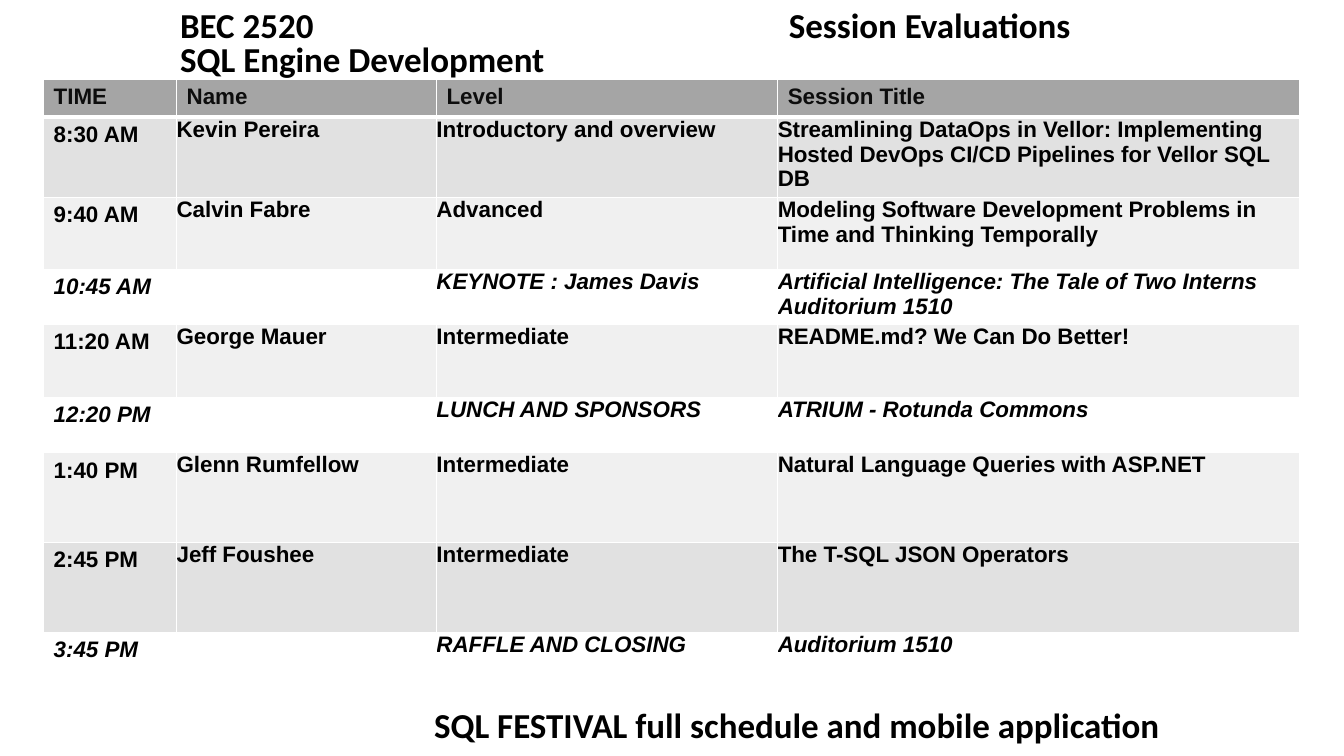
from dataclasses import dataclass
from typing import NamedTuple

from lxml.etree import SubElement
from pptx import Presentation
from pptx.dml.color import RGBColor as Rgb
from pptx.oxml.ns import qn
from pptx.util import Cm, Pt


@dataclass(frozen=True)
class Theme:
    heading_font: str = "Calibri"
    table_font: str = "Arial"
    heading_size: float = 25
    table_size: float = 16
    black: str = "000000"
    header_text: str = "0D0D0D"
    header: str = "A5A5A5"
    dark: str = "E1E1E1"
    light: str = "F0F0F0"
    white: str = "FFFFFF"
    rule: float = 1
    header_rule: float = 3


class Box(NamedTuple):
    """Left, top, width and height in centimetres."""
    left: float
    top: float
    width: float
    height: float


THEME = Theme()
BLANK_LAYOUT = 6

COLUMN_WIDTHS = [3.35, 6.55, 8.6, 13.15]
HEADER = ["TIME", "Name", "Level", "Session Title"]
HEADER_HEIGHT = 0.94

# Row height, fill, cell texts; sessions without a speaker are set in italics
SESSIONS = [
    (1.93, THEME.dark, ["8:30 AM", "Kevin Pereira", "Introductory and overview",
                        "Streamlining DataOps in Vellor: Implementing Hosted DevOps "
                        "CI/CD Pipelines for Vellor SQL DB"]),
    (1.8, THEME.light, ["9:40 AM", "Calvin Fabre", "Advanced",
                        "Modeling Software Development Problems in Time and "
                        "Thinking Temporally"]),
    (1.4, THEME.white, ["10:45 AM", "", "KEYNOTE : James Davis",
                        "Artificial Intelligence: The Tale of Two Interns\n"
                        "Auditorium 1510"]),
    (1.83, THEME.light, ["11:20 AM", "George Mauer", "Intermediate",
                         "README.md? We Can Do Better!"]),
    (1.4, THEME.white, ["12:20 PM", "", "LUNCH AND SPONSORS",
                        "ATRIUM - Rotunda Commons"]),
    (2.26, THEME.light, ["1:40 PM", "Glenn Rumfellow", "Intermediate",
                         "Natural Language Queries with ASP.NET"]),
    (2.26, THEME.dark, ["2:45 PM", "Jeff Foushee", "Intermediate",
                        "The T-SQL JSON Operators"]),
    (1.19, THEME.white, ["3:45 PM", "", "RAFFLE AND CLOSING", "Auditorium 1510"]),
]


def set_font(para, name, size, color, italic=False):
    font = para.font
    font.name, font.size = name, Pt(size)
    font.bold, font.italic = True, italic
    font.color.rgb = Rgb.from_string(color)


def add_heading(page, box, text, line_spacing=1.0):
    frame = page.shapes.add_textbox(*map(Cm, box)).text_frame
    frame.word_wrap = True
    para = frame.paragraphs[0]
    para.text = text
    para.line_spacing = line_spacing
    set_font(para, THEME.heading_font, THEME.heading_size, THEME.black)


def set_borders(cell, bottom):
    """Draw the four cell borders, ahead of the fill in the cell's XML."""
    props = cell._tc.get_or_add_tcPr()
    for side in ("lnL", "lnR", "lnT", "lnB"):
        weight = bottom if side == "lnB" else THEME.rule
        line = SubElement(props, qn(f"a:{side}"), w=str(Pt(weight)))
        fill = SubElement(line, qn("a:solidFill"))
        SubElement(fill, qn("a:srgbClr"), val=THEME.white)


def fill_cell(cell, text, fill, color, rule, italic=False, inset=True):
    set_borders(cell, rule)
    cell.fill.solid()
    cell.fill.fore_color.rgb = Rgb.from_string(fill)
    if not inset:
        cell.margin_left = cell.margin_right = 0
        cell.margin_top = cell.margin_bottom = 0
    cell.text = text
    for para in cell.text_frame.paragraphs:
        set_font(para, THEME.table_font, THEME.table_size, color, italic)


def add_schedule(page, box):
    frame = page.shapes.add_table(len(SESSIONS) + 1, len(HEADER), *map(Cm, box))
    table = frame.table
    table.horz_banding = False

    # Columns share the width of the box
    for column, width in zip(table.columns, COLUMN_WIDTHS):
        column.width = Cm(box.width * width / sum(COLUMN_WIDTHS))

    # Header row
    table.rows[0].height = Cm(HEADER_HEIGHT)
    for index, text in enumerate(HEADER):
        fill_cell(table.cell(0, index), text, THEME.header,
                  THEME.header_text, THEME.header_rule)

    # Sessions; only the time column keeps its inset
    for number, (height, fill, texts) in enumerate(SESSIONS, start=1):
        table.rows[number].height = Cm(height)
        is_break = not texts[1]
        for index, text in enumerate(texts):
            fill_cell(table.cell(number, index), text, fill, THEME.black,
                      THEME.rule, italic=is_break, inset=index == 0)


def add_titles(page, box):
    room_width, line_step = 15.34, 0.86
    room = Box(box.left, box.top, room_width, 1.07)
    add_heading(page, room, "BEC 2520", 0.9)
    add_heading(page, room._replace(top=box.top + line_step),
                "SQL Engine Development", 0.9)
    add_heading(page, Box(box.left + room_width, box.top,
                          box.width - room_width, 1.4),
                "Session Evaluations", 0.9)


def main():
    deck = Presentation()
    deck.slide_width, deck.slide_height = Cm(33.87), Cm(19.05)
    page = deck.slides.add_slide(deck.slide_layouts[BLANK_LAYOUT])

    add_heading(page, Box(10.69, 17.6, 20.27, 1.37),
                "SQL FESTIVAL full schedule and mobile application")
    add_schedule(page, Box(1.1, 2.01, 31.65, 15.01))
    add_titles(page, Box(4.29, 0.08, 24.97, 1.93))
    deck.save("out.pptx")


if __name__ == "__main__":
    main()
